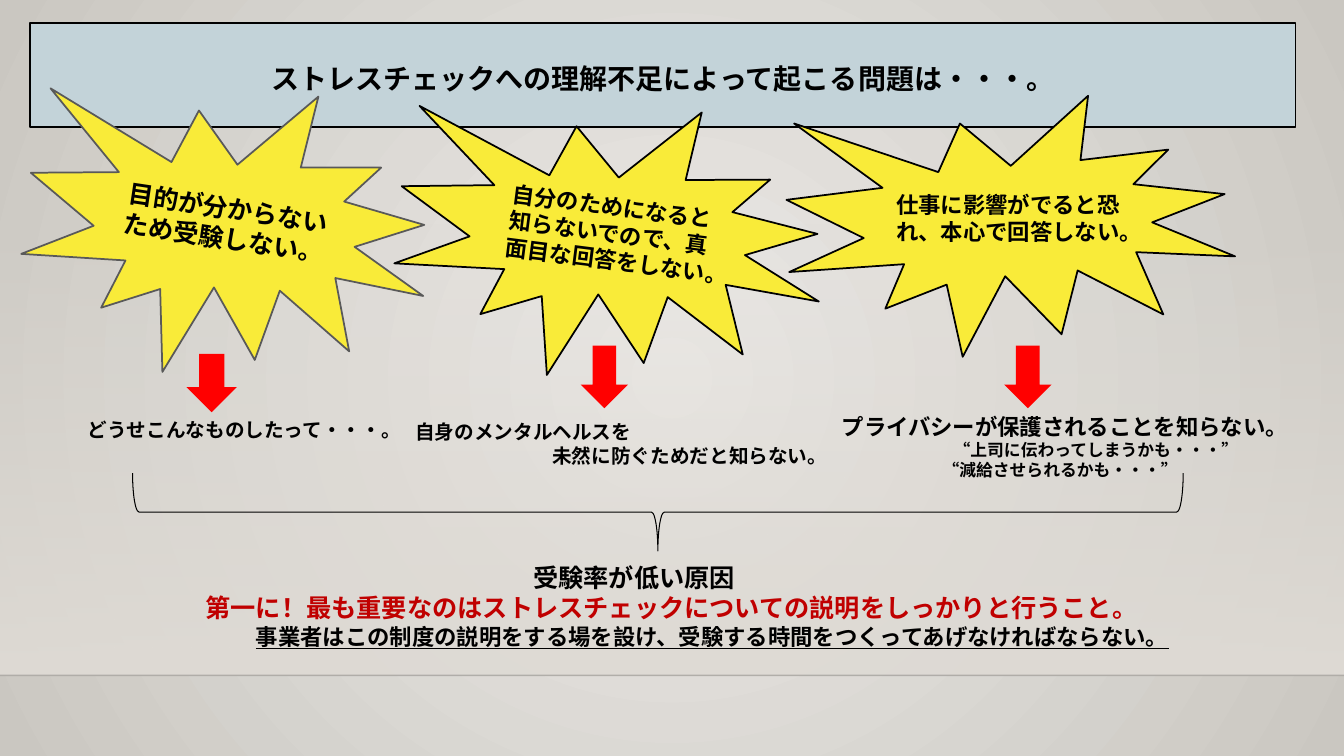
from lxml import etree
from pptx import Presentation, oxml
from pptx.dml.color import RGBColor
from pptx.enum import shapes, text
from pptx.oxml import ns
from pptx.util import Inches, Pt

FONT = "Cabin"
BLACK, RED, DEEP_RED = "000000", "FF0000", "C00000"
YELLOW, GREY, BLUE = "F9EB39", "595959", "C3D3D9"
GLOW = [(0, "ECEAE7", 100), (100, "CAC7C1", 100)]
FLOOR = [(0, "DFDBD5", 0), (100, "DFDBD5", 100)]

TITLE = "ストレスチェックへの理解不足によって起こる問題は・・・。"
BURSTS = [
    ((0.24, 0.84, 4.03, 2.93), 8.5, GREY, 18, "目的が分からないため受験しない。"),
    ((3.93, 1.01, 4.25, 2.78), 7.4, BLACK, 16, "自分のためになると知らないでので、真面目な回答をしない。"),
    ((7.8, 0.95, 4.45, 2.59), 0, BLACK, 16, "仕事に影響がでると恐れ、本心で回答しない。"),
]
ARROWS = [(1.85, 3.51, 0.5, 0.58), (5.76, 3.43, 0.47, 0.62), (9.96, 3.43, 0.47, 0.62)]
NOTES = [
    ((0.77, 4.1, 3.34, 0.34), [("どうせこんなものしたって・・・。", 14, BLACK, 0, False)]),
    ((4.02, 4.12, 4.33, 0.57), [
        ("自身のメンタルヘルスを", 14, BLACK, 0, False),
        ("未然に防ぐためだと知らない。", 14, BLACK, 1.36, False)]),
    ((8.25, 4.05, 4.69, 0.84), [
        ("プライバシーが保護されることを知らない。", 16, BLACK, 0, False),
        ("“上司に伝わってしまうかも・・・”", 12, BLACK, 1.11, False),
        ("“減給させられるかも・・・”", 12, BLACK, 1, False)]),
    ((1.94, 5.53, 9.91, 1.01), [
        ("受験率が低い原因", 18, BLACK, 3.25, False),
        ("第一に！最も重要なのはストレスチェックについての説明をしっかりと行うこと。", 18, DEEP_RED, 0, False),
        ("事業者はこの制度の説明をする場を設け、受験する時間をつくってあげなければならない。", 16, BLACK, 0.5, True)]),
]


def color(value):
    return RGBColor.from_string(value)


def gradient(stops, direction):
    items = "".join(
        f'<a:gs pos="{pos * 1000}"><a:srgbClr val="{value}"><a:alpha val="{alpha * 1000}"/></a:srgbClr></a:gs>'
        for pos, value, alpha in stops)
    return oxml.parse_xml(
        f'<a:gradFill {ns.nsdecls("a")} rotWithShape="1"><a:gsLst>{items}</a:gsLst>{direction}</a:gradFill>')


def swap_fill(fill, replacement):
    fill.getparent().replace(fill, replacement)


def add_shape(kind, at, fill=None, line=None, width=1.25, turn=0):
    shape = page.shapes.add_shape(kind, *map(Inches, at))
    shape.shadow.inherit = False
    shape.rotation = turn
    if fill:
        shape.fill.solid()
        shape.fill.fore_color.rgb = color(fill)
    else:
        shape.fill.background()
    if line:
        shape.line.color.rgb = color(line)
        shape.line.width = Pt(width)
    else:
        shape.line.fill.background()
    return shape


def add_span(para, words, size, value=BLACK, underline=False):
    span = para.add_run()
    span.text = words
    span.font.name = FONT
    span.font.size = Pt(size)
    span.font.bold = True
    span.font.color.rgb = color(value)
    if underline:
        span.font.underline = True


def label(shape, words, size):
    frame = shape.text_frame
    frame.word_wrap = True
    frame.vertical_anchor = text.MSO_ANCHOR.MIDDLE
    para = frame.paragraphs[0]
    para.alignment = text.PP_ALIGN.CENTER
    add_span(para, words, size)


def add_note(at, lines):
    frame = page.shapes.add_textbox(*map(Inches, at)).text_frame
    frame.word_wrap = False
    frame.auto_size = text.MSO_AUTO_SIZE.SHAPE_TO_FIT_TEXT
    for index, (words, size, value, indent, underline) in enumerate(lines):
        para = frame.add_paragraph() if index else frame.paragraphs[0]
        para.alignment = text.PP_ALIGN.LEFT
        if indent:
            para._p.get_or_add_pPr().set("marL", str(Inches(indent)))
        add_span(para, words, size, value, underline)


deck = Presentation()
deck.slide_width, deck.slide_height = Inches(13.33), Inches(7.5)
page = deck.slides.add_slide(deck.slide_layouts[6])

page.background.fill.solid()
swap_fill(page._element.find(".//" + ns.qn("p:bgPr")).find(ns.qn("a:solidFill")), gradient(
    GLOW, '<a:path path="circle"><a:fillToRect l="50000" t="50000" r="50000" b="50000"/></a:path>'))

wall = add_shape(shapes.MSO_SHAPE.RECTANGLE, (0, 2.21, 13.33, 4.49), "DFDBD5")
swap_fill(wall._element.spPr.find(ns.qn("a:solidFill")), gradient(FLOOR, '<a:lin ang="5400000" scaled="0"/>'))

edge = page.shapes.add_connector(
    shapes.MSO_CONNECTOR.STRAIGHT, 0, Inches(6.7), Inches(13.33), Inches(6.7))
edge.line.color.rgb = color(BLACK)
edge.line.width = Pt(1)
etree.SubElement(edge._element.find(".//" + ns.qn("a:srgbClr")), ns.qn("a:alpha")).set("val", "20000")
etree.SubElement(edge._element.spPr, ns.qn("a:effectLst"))

banner = add_shape(shapes.MSO_SHAPE.RECTANGLE, (0.3, 0.23, 12.55, 1.03), BLUE, BLACK)
label(banner, TITLE, 20)
banner.text_frame.margin_top = Inches(0.11)

for at, turn, line, size, words in BURSTS:
    label(add_shape(shapes.MSO_SHAPE.EXPLOSION1, at, YELLOW, line, turn=turn), words, size)
for at in ARROWS:
    add_shape(shapes.MSO_SHAPE.DOWN_ARROW, at, RED)
add_shape(shapes.MSO_SHAPE.LEFT_BRACE, (6.14, -0.13, 0.77, 10.42), None, BLACK, 0.75, 270)
for at, lines in NOTES:
    add_note(at, lines)

deck.save("out.pptx")
